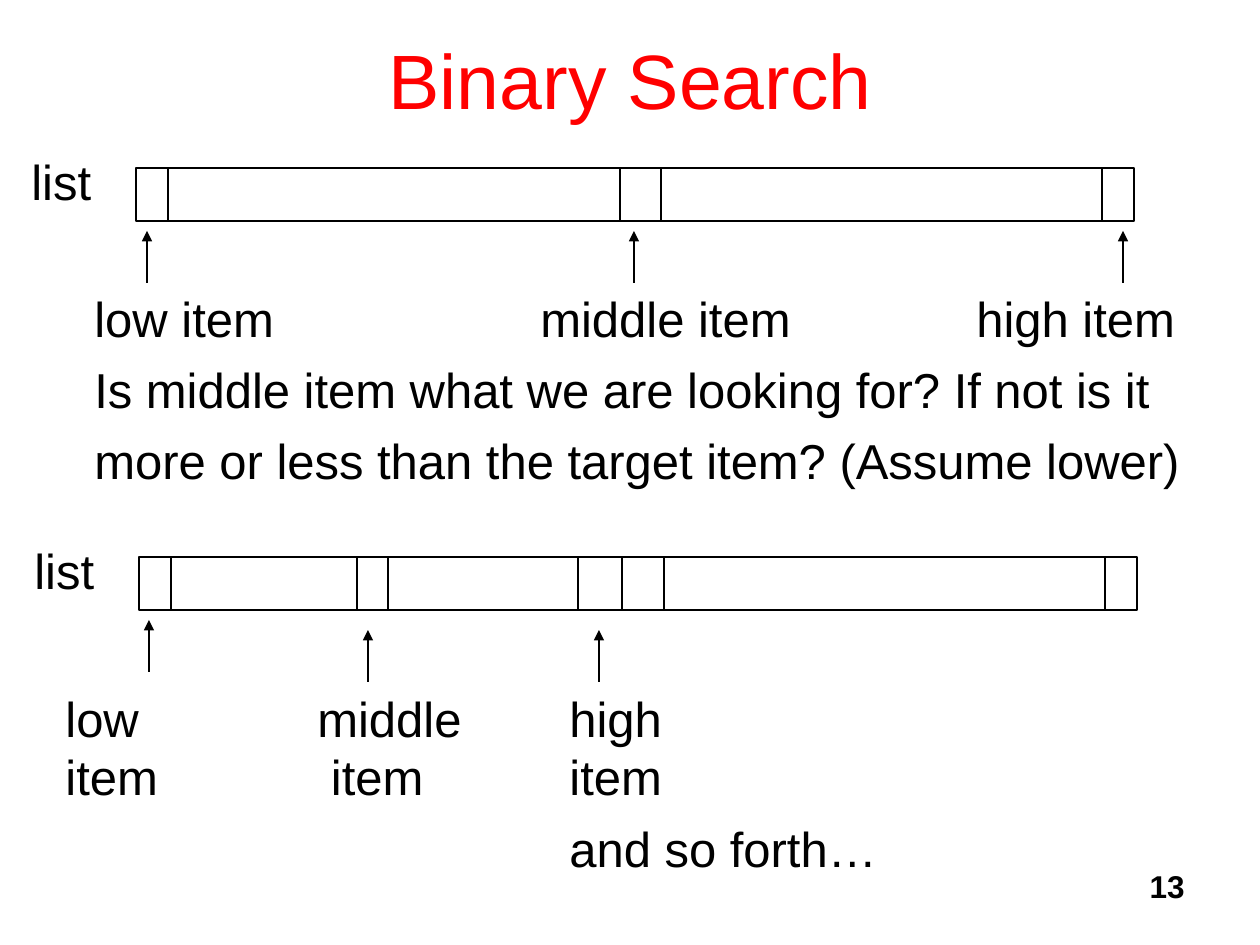
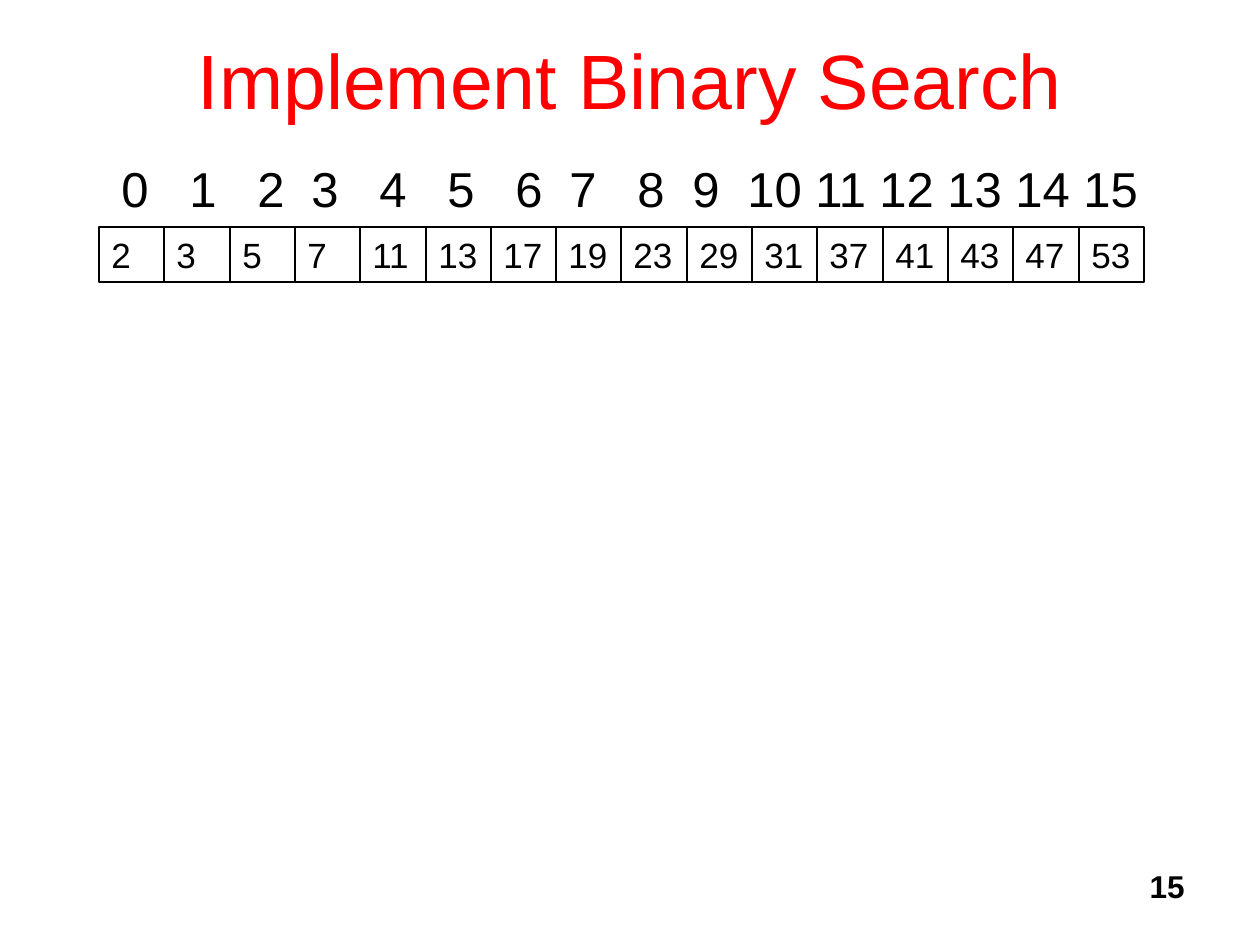
from lxml.etree import SubElement
from pptx import Presentation
from pptx.dml.color import RGBColor
from pptx.enum.shapes import MSO_CONNECTOR as Connector, MSO_SHAPE as Shape
from pptx.enum.text import MSO_ANCHOR as Anchor, PP_ALIGN as Align
from pptx.oxml.ns import qn
from pptx.util import Inches, Pt

PX = Inches(1) / 126
COLORS = {"title": "FF0000", "ink": "000000"}
FONT = "Arial"
LINE_WIDTH = Pt(0.75)
PRIMES = [2, 3, 5, 7, 11, 13, 17, 19, 23, 29, 31, 37, 41, 43, 47, 53]


def px(*lengths):
    return [round(length * PX) for length in lengths]


def color(name):
    return RGBColor.from_string(COLORS[name])


def write(shape, text, size=28, ink="ink", bold=False, align=Align.LEFT,
          anchor=Anchor.TOP, space=7, tabs=()):
    frame = shape.text_frame
    frame.word_wrap = True
    frame.vertical_anchor = anchor
    frame.text = text
    for index, paragraph in enumerate(frame.paragraphs):
        if tabs:
            stops = SubElement(paragraph._p.get_or_add_pPr(), qn("a:tabLst"))
            for stop in px(*tabs):
                SubElement(stops, qn("a:tab"), pos=str(stop), algn="l")
        paragraph.alignment = align
        paragraph.space_before = Pt(space if index else 0)
        for run in paragraph.runs:
            run.font.name = FONT
            run.font.size = Pt(size)
            run.font.bold = bold
            run.font.color.rgb = color(ink)


def add_text(slide, box, text, **style):
    write(slide.shapes.add_textbox(*px(*box)), text, **style)


def add_cell(slide, box):
    cell = slide.shapes.add_shape(Shape.RECTANGLE, *px(*box))
    cell.shadow.inherit = False
    cell.fill.background()
    cell.line.color.rgb = color("ink")
    cell.line.width = LINE_WIDTH
    return cell


def add_line(slide, start, end, arrow=False):
    line = slide.shapes.add_connector(
        Connector.STRAIGHT, *px(*start, *end))
    line.line.color.rgb = color("ink")
    line.line.width = LINE_WIDTH
    if arrow:
        SubElement(line.line._get_or_add_ln(), qn("a:tailEnd"), type="triangle")
    SubElement(line._element.spPr, qn("a:effectLst"))


def new_slide(deck, title, number):
    slide = deck.slides.add_slide(deck.slide_layouts[5])
    heading = slide.shapes.title
    heading.left, heading.top, heading.width, heading.height = px(95, 0, 1071, 158)
    write(heading, title, size=44, ink="title", align=Align.CENTER,
          anchor=Anchor.MIDDLE)
    add_text(slide, (935, 861, 262, 63), str(number), size=18, bold=True,
             align=Align.RIGHT)
    return slide


def list_bar(slide, left, top, dividers, pointers):
    width, height = 998, 53
    add_text(slide, (left - 117, top - 23, 90, 72), "list")
    add_cell(slide, (left, top, width, height))
    for x in dividers:
        add_line(slide, (left + x, top), (left + x, top + height))
    for x, tip in pointers:
        add_line(slide, (left + x, top + tip + 52), (left + x, top + tip),
                 arrow=True)


def prime_row(slide, left, top, width, height):
    for index, prime in enumerate(PRIMES):
        start, end = (round(width * i / len(PRIMES)) for i in (index, index + 1))
        cell = add_cell(slide, (left + start, top, end - start, height))
        write(cell, str(prime), size=20)


def index_row(slide, left, top, width, height):
    wide_step = 68
    other_steps = {2: 54, 6: 54, 8: 55, 9: 55, 11: 64}
    stops = [0]
    for index in range(len(PRIMES) - 1):
        stops.append(stops[-1] + other_steps.get(index, wide_step))
    labels = "\t".join(str(index) for index in range(len(PRIMES)))
    add_text(slide, (left, top, width, height), labels, tabs=stops[1:])


def search_slide(deck):
    slide = new_slide(deck, "Binary Search", 13)
    list_bar(slide, 136, 168, (32, 484, 525, 966),
             ((11, 63), (498, 63), (987, 63)))
    add_text(slide, (82, 282, 1159, 214),
             "low item\tmiddle item\thigh item\n"
             "Is middle item what we are looking for? If not is it\n"
             "more or less than the target item? (Assume lower)",
             tabs=(446, 882))
    list_bar(slide, 139, 557, (32, 218, 249, 439, 483, 525, 966),
             ((10, 63), (229, 73), (460, 73)))
    add_text(slide, (53, 682, 837, 202),
             "low\tmiddle\thigh\vitem\t item\titem\n\t\tand so forth…",
             tabs=(252, 504))


def implement_slide(deck):
    slide = new_slide(deck, "Implement Binary Search", 15)
    prime_row(slide, 99, 227, 1045, 55)
    index_row(slide, 109, 152, 1120, 72)


def main():
    deck = Presentation()
    deck.slide_width, deck.slide_height = px(1260, 945)
    search_slide(deck)
    implement_slide(deck)
    deck.save("out.pptx")


if __name__ == "__main__":
    main()
